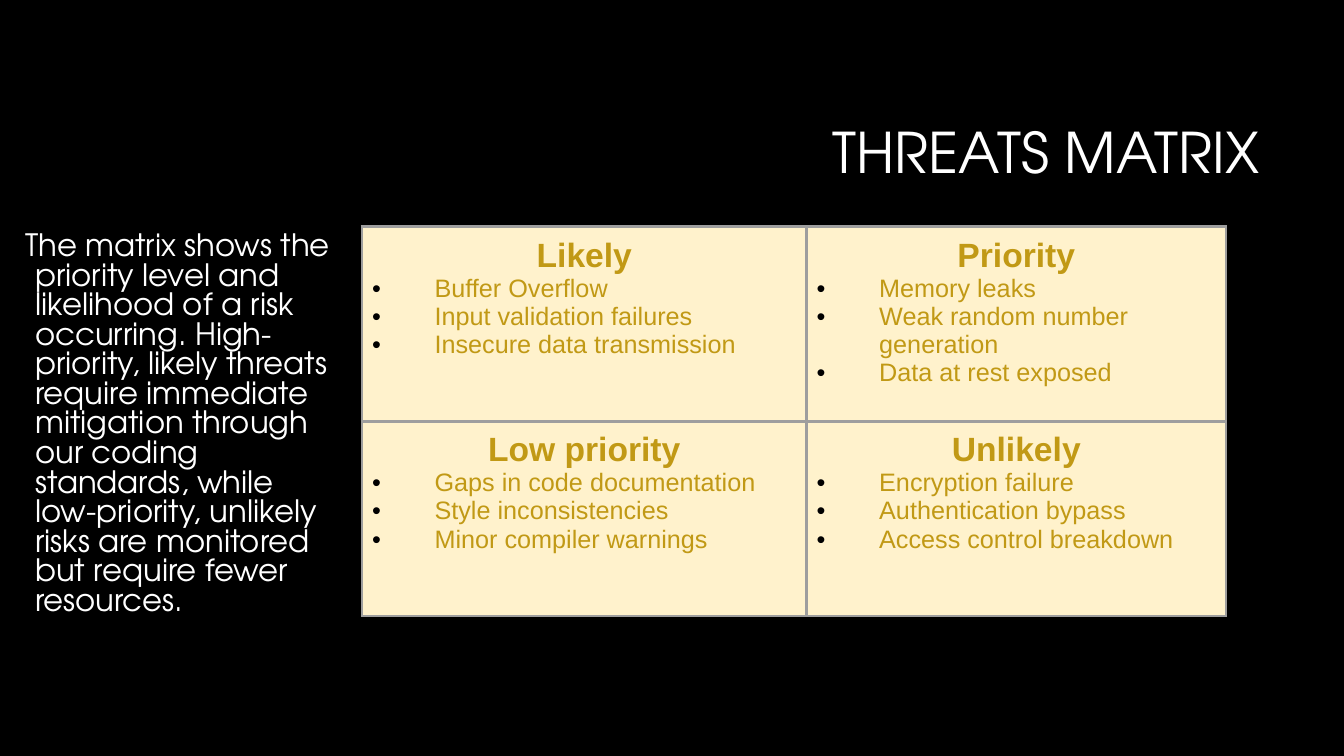
from dataclasses import dataclass

from lxml import etree
from pptx import Presentation
from pptx.dml.color import RGBColor
from pptx.enum.text import MSO_ANCHOR, MSO_AUTO_SIZE, PP_ALIGN
from pptx.oxml.ns import qn
from pptx.util import Inches, Pt

LEFT, CENTER, RIGHT = PP_ALIGN.LEFT, PP_ALIGN.CENTER, PP_ALIGN.RIGHT
TOP, MIDDLE = MSO_ANCHOR.TOP, MSO_ANCHOR.MIDDLE
NO_FIT = MSO_AUTO_SIZE.NONE


@dataclass(frozen=True)
class Theme:
    back: str = "000000"
    light: str = "FFFFFF"
    gold: str = "C19915"
    cream: str = "FFF2CC"
    rule: str = "9E9E9E"
    dot: str = "000000"
    main_font: str = "TeX Gyre Adventor"
    cell_font: str = "Arial"
    title: int = 40
    body: int = 22
    head: int = 24
    item: int = 18
    border: float = 2.25


@dataclass(frozen=True)
class Risk:
    head: str
    items: tuple[str, ...]


THEME = Theme()
COLS = (4.41, 4.16)
ROW = 1.93
PAD = 0.1
HANG = 0.62
MATRIX = (
    (
        Risk("Likely", ("Buffer Overflow", "Input validation failures",
                        "Insecure data transmission")),
        Risk("Priority", ("Memory leaks", "Weak random number generation",
                          "Data at rest exposed")),
    ),
    (
        Risk("Low priority", ("Gaps in code documentation",
                              "Style inconsistencies",
                              "Minor compiler warnings")),
        Risk("Unlikely", ("Encryption failure", "Authentication bypass",
                          "Access control breakdown")),
    ),
)
SUMMARY = (
    "The matrix shows the priority level and likelihood of a risk occurring. "
    "High-priority, likely threats require immediate mitigation through our "
    "coding standards, while low-priority, unlikely risks are monitored but "
    "require fewer resources."
)


def style(para, font: str, size: int, color: str, bold: bool = False) -> None:
    for run in para.runs:
        run.font.name = font
        run.font.size = Pt(size)
        run.font.bold = bold
        run.font.color.rgb = RGBColor.from_string(color)


def indent(para, left: float, first: float) -> None:
    props = para._p.get_or_add_pPr()
    props.set("marL", str(Inches(left)))
    props.set("indent", str(Inches(first)))


def bullet(para) -> None:
    indent(para, HANG, -HANG)
    props = para._p.get_or_add_pPr()
    color = etree.SubElement(props, qn("a:buClr"))
    etree.SubElement(color, qn("a:srgbClr"), val=THEME.dot)
    etree.SubElement(props, qn("a:buFont"), typeface=THEME.cell_font)
    etree.SubElement(props, qn("a:buChar"), char="•")


def border(cell) -> None:
    props = cell._tc.get_or_add_tcPr()
    for spot, side in enumerate(("lnL", "lnR", "lnT", "lnB")):
        line = etree.Element(qn(f"a:{side}"), w=str(Pt(THEME.border)))
        fill = etree.SubElement(line, qn("a:solidFill"))
        etree.SubElement(fill, qn("a:srgbClr"), val=THEME.rule)
        props.insert(spot, line)


def fill_text(shape, box: tuple[float, ...], text: str, size: int,
              align, anchor, space: float):
    """Place a placeholder and set its one paragraph."""
    shape.left, shape.top, shape.width, shape.height = map(Inches, box)
    frame = shape.text_frame
    frame.text = text
    frame.word_wrap = True
    frame.auto_size = NO_FIT
    frame.vertical_anchor = anchor
    para = frame.paragraphs[0]
    para.alignment = align
    para.line_spacing = space
    style(para, THEME.main_font, size, THEME.light)
    return para


def fill_cell(cell, risk: Risk) -> None:
    cell.fill.solid()
    cell.fill.fore_color.rgb = RGBColor.from_string(THEME.cream)
    border(cell)
    cell.margin_left = cell.margin_right = Inches(PAD)
    cell.margin_top = cell.margin_bottom = Inches(PAD)
    frame = cell.text_frame
    frame.text = risk.head
    head = frame.paragraphs[0]
    head.alignment = CENTER
    style(head, THEME.cell_font, THEME.head, THEME.gold, True)
    for item in risk.items:
        para = frame.add_paragraph()
        para.text = item
        bullet(para)
        style(para, THEME.cell_font, THEME.item, THEME.gold)


def main() -> None:
    deck = Presentation()
    deck.slide_width, deck.slide_height = Inches(13.33), Inches(7.5)
    slide = deck.slides.add_slide(deck.slide_layouts[1])
    slide.background.fill.solid()
    slide.background.fill.fore_color.rgb = RGBColor.from_string(THEME.back)

    # Title and summary
    fill_text(slide.shapes.title, (3.17, 0.84, 9.42, 1.41), "THREATS MATRIX",
              THEME.title, RIGHT, MIDDLE, 0.9)
    para = fill_text(slide.placeholders[1], (0, 2.26, 3.47, 4.4), SUMMARY,
                     THEME.body, LEFT, TOP, 0.8)
    para.space_before = Pt(10)
    indent(para, 0.25, -0.1)
    etree.SubElement(para._p.get_or_add_pPr(), qn("a:buNone"))

    # Risk matrix
    rows = len(MATRIX)
    table = slide.shapes.add_table(
        rows, len(COLS), Inches(3.59), Inches(2.25),
        Inches(sum(COLS)), Inches(ROW * rows)).table
    table.first_row = table.horz_banding = False
    for col, width in zip(table.columns, COLS):
        col.width = Inches(width)
    for r, risks in enumerate(MATRIX):
        table.rows[r].height = Inches(ROW)
        for c, risk in enumerate(risks):
            fill_cell(table.cell(r, c), risk)

    deck.save("out.pptx")


if __name__ == "__main__":
    main()
